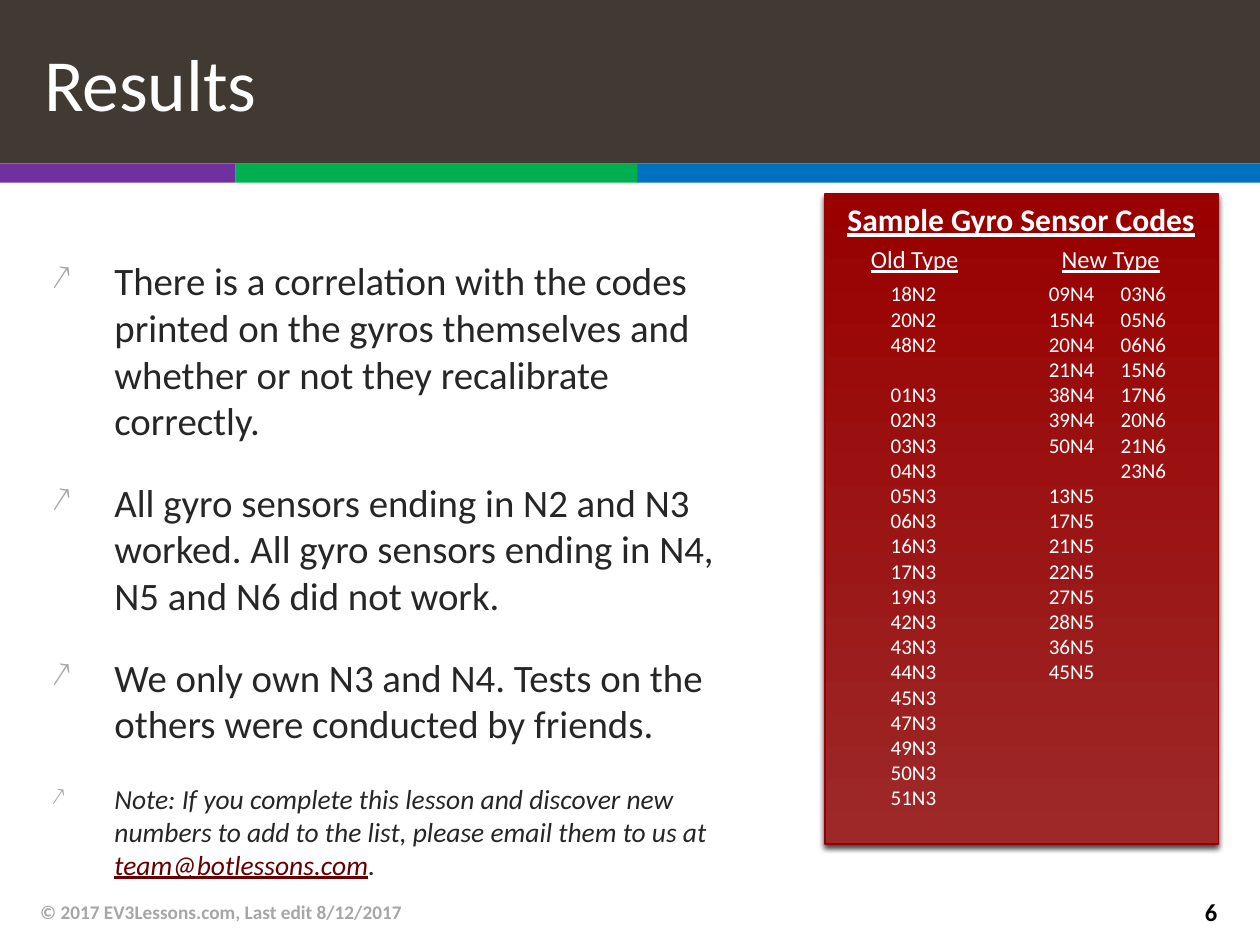
from dataclasses import dataclass

from lxml.etree import SubElement
from pptx import Presentation
from pptx.dml.color import RGBColor
from pptx.enum.shapes import MSO_SHAPE
from pptx.enum.text import MSO_ANCHOR, PP_ALIGN
from pptx.oxml import parse_xml
from pptx.oxml.ns import nsdecls, qn
from pptx.util import Inches, Pt

HUES = {
    "white": "FFFFFF", "black": "000000", "gray": "A6A6A6", "ink": "262626",
    "title": "413A33", "purple": "7030A0", "green": "00B050", "blue": "0070C0",
    "top": "990000", "base": "9D2828", "edge": "960000", "link": "660000",
}
FONT = "Calibri"


@dataclass
class Label:
    text: str
    box: tuple
    size: float
    hue: str = "white"
    bold: bool = False
    line: bool = False
    align: PP_ALIGN = PP_ALIGN.CENTER
    anchor: MSO_ANCHOR = MSO_ANCHOR.TOP


@dataclass
class Codes:
    box: tuple
    groups: list


@dataclass
class Point:
    texts: list
    size: float = 22.2
    slant: bool = False


def rgb(hue: str) -> RGBColor:
    return RGBColor.from_string(HUES[hue])


def style(run, size: float, hue: str, bold=False, slant=False, line=False) -> None:
    font = run.font
    font.name, font.size = FONT, Pt(size)
    font.bold, font.italic, font.underline = bold, slant, line
    font.color.rgb = rgb(hue)


def add_rect(slide, box: tuple, hue: str):
    rect = slide.shapes.add_shape(MSO_SHAPE.RECTANGLE, *map(Inches, box))
    rect.shadow.inherit = False
    rect.fill.solid()
    rect.fill.fore_color.rgb = rgb(hue)
    rect.line.fill.background()
    return rect


def add_frame(slide, box: tuple):
    frame = slide.shapes.add_textbox(*map(Inches, box)).text_frame
    frame.word_wrap = True
    return frame


def add_label(slide, label: Label) -> None:
    frame = add_frame(slide, label.box)
    frame.vertical_anchor = label.anchor
    frame.text = label.text
    para = frame.paragraphs[0]
    para.alignment = label.align
    style(para.runs[0], label.size, label.hue, label.bold, line=label.line)


def add_codes(slide, codes: Codes) -> None:
    frame = add_frame(slide, codes.box)
    frame.text = "\n".join(" ".join(codes.groups).split())
    heads = {group.split()[0] for group in codes.groups[1:]}
    for para in frame.paragraphs:
        para.alignment = PP_ALIGN.CENTER
        if para.text in heads:
            para.space_before = Pt(14.4)
        style(para.runs[0], 12, "white")


def add_bullet(para) -> None:
    props = para._p.get_or_add_pPr()
    props.set("marL", str(Inches(0.5)))
    props.set("indent", str(-Inches(0.5)))
    tint = SubElement(props, qn("a:buClr"))
    SubElement(tint, qn("a:srgbClr"), val=HUES["gray"])
    SubElement(props, qn("a:buSzPct"), val="90000")
    SubElement(props, qn("a:buChar"), char="↗")


def add_points(slide, box: tuple, points: list) -> None:
    frame = add_frame(slide, box)
    for i, point in enumerate(points):
        para = frame.add_paragraph() if i else frame.paragraphs[0]
        add_bullet(para)
        if i:
            para.space_before = Pt(20)
        for text, hue in point.texts:
            run = para.add_run()
            run.text = text
            style(run, point.size, hue, slant=point.slant, line=hue == "link")


def add_panel(slide, box: tuple) -> None:
    panel = add_rect(slide, box, "top")
    panel.fill.gradient()
    panel.fill.gradient_angle = 90
    for stop, hue in zip(panel.fill.gradient_stops, ("base", "top")):
        stop.color.rgb = rgb(hue)
    panel.line.color.rgb = rgb("edge")
    panel.line.width = Pt(1)
    glow = panel._element.spPr.find(qn("a:effectLst"))
    glow.append(parse_xml(
        f'<a:outerShdw {nsdecls("a")} blurRad="{Pt(3)}" dist="{Pt(2)}" '
        f'dir="{110 * 60000}" rotWithShape="0"><a:srgbClr val="{HUES["black"]}">'
        '<a:alpha val="75000"/></a:srgbClr></a:outerShdw>'))


BANDS = [(0, 1.87, "purple"), (1.87, 3.2, "green"), (5.06, 4.94, "blue")]
POINTS = [
    Point([("There is a correlation with the codes printed on the gyros "
            "themselves and whether or not they recalibrate correctly.", "ink")]),
    Point([("All gyro sensors ending in N2 and N3 worked. All gyro sensors "
            "ending in N4, N5 and N6 did not work.", "ink")]),
    Point([("We only own N3 and N4. Tests on the others were conducted by "
            "friends.", "ink")]),
    Point([("Note: If you complete this lesson and discover new numbers to add "
            "to the list, please email them to us at ", "ink"),
           ("team@botlessons.com", "link"), (".", "ink")], 15.7, True),
]
CODES = [
    Codes((6.42, 2.18, 1.66, 4.54), [
        "18N2 20N2 48N2",
        "01N3 02N3 03N3 04N3 05N3 06N3 16N3 17N3 19N3 "
        "42N3 43N3 44N3 45N3 47N3 49N3 50N3 51N3"]),
    Codes((7.91, 2.18, 1.19, 3.33), [
        "09N4 15N4 20N4 21N4 38N4 39N4 50N4",
        "13N5 17N5 21N5 22N5 27N5 28N5 36N5 45N5"]),
    Codes((8.48, 2.18, 1.19, 1.72), [
        "03N6 05N6 06N6 15N6 17N6 20N6 21N6 23N6"]),
]
LABELS = [
    Label("Sample Gyro Sensor Codes", (6.42, 1.54, 3.37, 0.4), 18,
          bold=True, line=True),
    Label("Old Type", (6.66, 1.89, 1.2, 0.34), 14, line=True),
    Label("New Type", (8.14, 1.89, 1.35, 0.34), 14, line=True),
    Label("© 2017 EV3Lessons.com, Last edit 8/12/2017", (0.22, 7.04, 6.7, 0.4),
          11, "gray", True, align=PP_ALIGN.LEFT, anchor=MSO_ANCHOR.MIDDLE),
    Label("6", (9.07, 7.04, 0.69, 0.39), 14, "black", True,
          align=PP_ALIGN.RIGHT, anchor=MSO_ANCHOR.MIDDLE),
]


def main() -> None:
    deck = Presentation()
    deck.slide_width, deck.slide_height = Inches(10), Inches(7.5)
    slide = deck.slides.add_slide(deck.slide_layouts[6])

    # Title bar and colour bands
    for left, width, hue in BANDS:
        add_rect(slide, (left, 1.3, width, 0.15), hue)
    bar = add_rect(slide, (0, 0, 10, 1.3), "title")
    frame = bar.text_frame
    frame.margin_left = Inches(0.35)
    frame.vertical_anchor = MSO_ANCHOR.MIDDLE
    frame.text = "Results"
    frame.paragraphs[0].alignment = PP_ALIGN.LEFT
    style(frame.paragraphs[0].runs[0], 42, "white")

    # Findings
    add_points(slide, (0.31, 1.99, 5.53, 4.71), POINTS)

    # Panel of sensor codes
    add_panel(slide, (6.55, 1.54, 3.12, 5.16))
    for codes in CODES:
        add_codes(slide, codes)

    # Headings and footer
    for label in LABELS:
        add_label(slide, label)

    deck.save("out.pptx")


if __name__ == "__main__":
    main()
